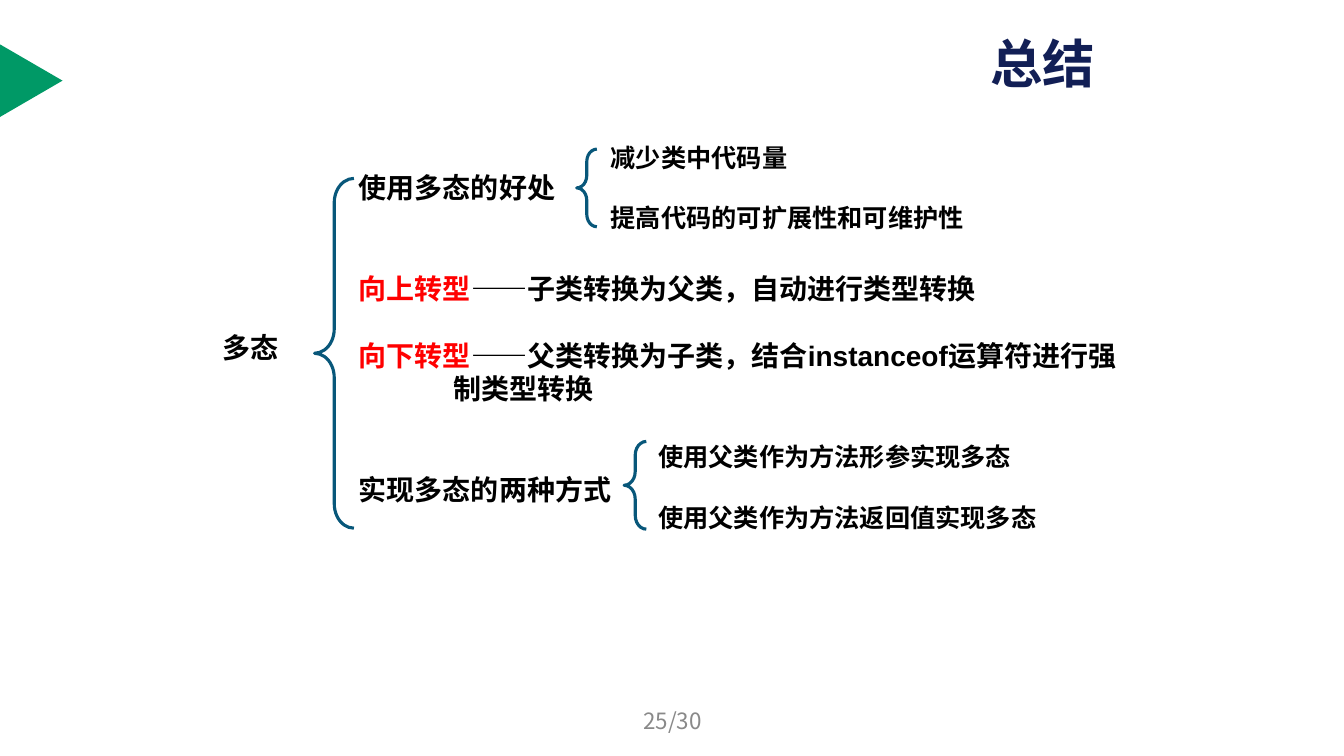
import dataclasses

import pptx
import pptx.dml.color
import pptx.enum.shapes
import pptx.enum.text
import pptx.oxml.ns
import pptx.util

Inches = pptx.util.Inches
Pt = pptx.util.Pt
Shape = pptx.enum.shapes.MSO_SHAPE
Align = pptx.enum.text.PP_ALIGN
Anchor = pptx.enum.text.MSO_ANCHOR


@dataclasses.dataclass(frozen=True)
class Theme:
    latin: str = "Arial"
    cjk: str = "Noto Sans CJK SC"
    black: str = "000000"
    red: str = "FF0000"
    navy: str = "121F55"
    green: str = "009966"
    brace: str = "08577A"
    grey: str = "898989"
    title: float = 37.4
    topic: float = 20
    detail: float = 18
    footer: float = 16
    leading: float = 1.2


THEME = Theme()


def rgb(value):
    return pptx.dml.color.RGBColor.from_string(value)


def style(p, size, color, face, bold=True, align=Align.LEFT):
    p.alignment = align
    p.font.size = Pt(size)
    p.font.bold = bold
    p.font.name = face
    p.font.color.rgb = rgb(color)
    for r in p.runs:
        ea = r._r.get_or_add_rPr().makeelement(
            pptx.oxml.ns.qn("a:ea"), {"typeface": THEME.cjk})
        r._r.get_or_add_rPr().append(ea)


def add_text(slide, box, lines, size, color=THEME.black, face=THEME.latin,
             bold=True, align=Align.LEFT, anchor=Anchor.TOP):
    sp = slide.shapes.add_textbox(*map(Inches, box))
    tf = sp.text_frame
    tf.word_wrap = True
    tf.vertical_anchor = anchor
    leading = size * THEME.leading
    for i, (gap, keyword, text) in enumerate(lines):
        p = tf.paragraphs[0] if i == 0 else tf.add_paragraph()
        if keyword:
            r = p.add_run()
            r.text = keyword
            r.font.color.rgb = rgb(THEME.red)
        for j, part in enumerate(text.split("\n")):
            if j:
                p.add_line_break()
            p.add_run().text = part
        style(p, size, color, face, bold, align)
        p.line_spacing = Pt(leading)
        p.space_before = Pt(gap * leading)
    return tf


def add_brace(slide, box):
    sp = slide.shapes.add_shape(Shape.LEFT_BRACE, *map(Inches, box))
    sp.shadow.inherit = False
    sp.adjustments[0] = 0.62
    sp.fill.background()
    sp.line.color.rgb = rgb(THEME.brace)
    sp.line.width = Pt(2.25)


def add_header(slide, box):
    left, top, width, height = box
    sp = slide.shapes.add_shape(Shape.ISOSCELES_TRIANGLE, Inches(left - 0.05),
                                Inches(top + 0.19), Inches(0.72), Inches(0.62))
    sp.rotation = 90
    sp.shadow.inherit = False
    sp.fill.solid()
    sp.fill.fore_color.rgb = rgb(THEME.green)
    sp.line.fill.background()

    title = slide.shapes.title
    title.left, title.top = Inches(left + 9.72), Inches(top)
    title.width, title.height = Inches(1.51), Inches(height)
    tf = title.text_frame
    tf.text = "总结"
    tf.vertical_anchor = Anchor.MIDDLE
    style(tf.paragraphs[0], THEME.title, THEME.navy, THEME.cjk)


def add_details(slide, box, brace, details):
    left, top, width, height = box
    dx, dy, brace_width, brace_height = brace
    add_text(slide, box, [(i, "", text) for i, text in enumerate(details)],
             THEME.detail)
    add_brace(slide, (left + dx, top + dy, brace_width, brace_height))


def add_topics(slide, box):
    left, top, width, height = box
    add_text(slide, (left - 1.6, top + 1.59, 1.26, 0.44), [(0, "", "多态")],
             THEME.topic, align=Align.CENTER)
    add_brace(slide, (left - 0.34, top + 0.13, 0.39, 3.47))
    tf = add_text(slide, box, [
        (0, "", "使用多态的好处"),
        (2, "向上转型", "——子类转换为父类，自动进行类型转换"),
        (1, "向下转型", "——父类转换为子类，结合instanceof运算符进行强\n制类型转换"),
        (2, "", "实现多态的两种方式"),
    ], THEME.topic)
    pPr = tf.paragraphs[2]._p.get_or_add_pPr()
    pPr.set("marL", str(Inches(0.94)))
    pPr.set("indent", str(-Inches(0.94)))
    add_details(slide, (left + 2.5, top - 0.28, 4.17, 1.28),
                (-0.24, 0.12, 0.2, 0.77),
                ["减少类中代码量", "提高代码的可扩展性和可维护性"])
    add_details(slide, (left + 2.97, top + 2.69, 4.49, 2.36),
                (-0.24, 0.05, 0.22, 0.87),
                ["使用父类作为方法形参实现多态", "使用父类作为方法返回值实现多态"])


def add_footer(slide, box):
    add_text(slide, box, [(0, "", "25/30")], THEME.footer, THEME.grey,
             THEME.cjk, False, Align.CENTER, Anchor.MIDDLE)


def main():
    prs = pptx.Presentation()
    prs.slide_width, prs.slide_height = Inches(13.33), Inches(7.5)
    slide = prs.slides.add_slide(prs.slide_layouts[5])
    add_header(slide, (0, 0.3, 13.33, 0.64))
    add_topics(slide, (3.46, 1.64, 7.95, 5.82))
    add_footer(slide, (4.56, 6.95, 4.22, 0.4))
    prs.save("out.pptx")


if __name__ == "__main__":
    main()
